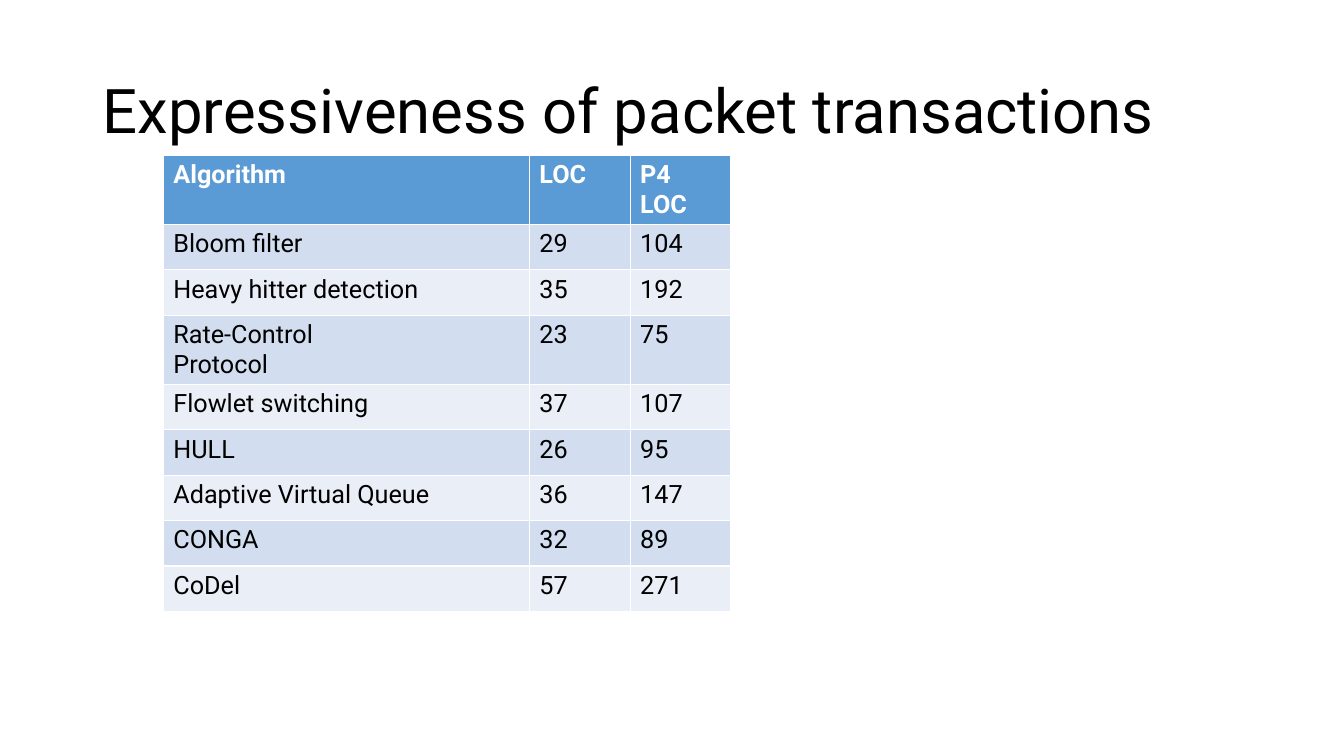
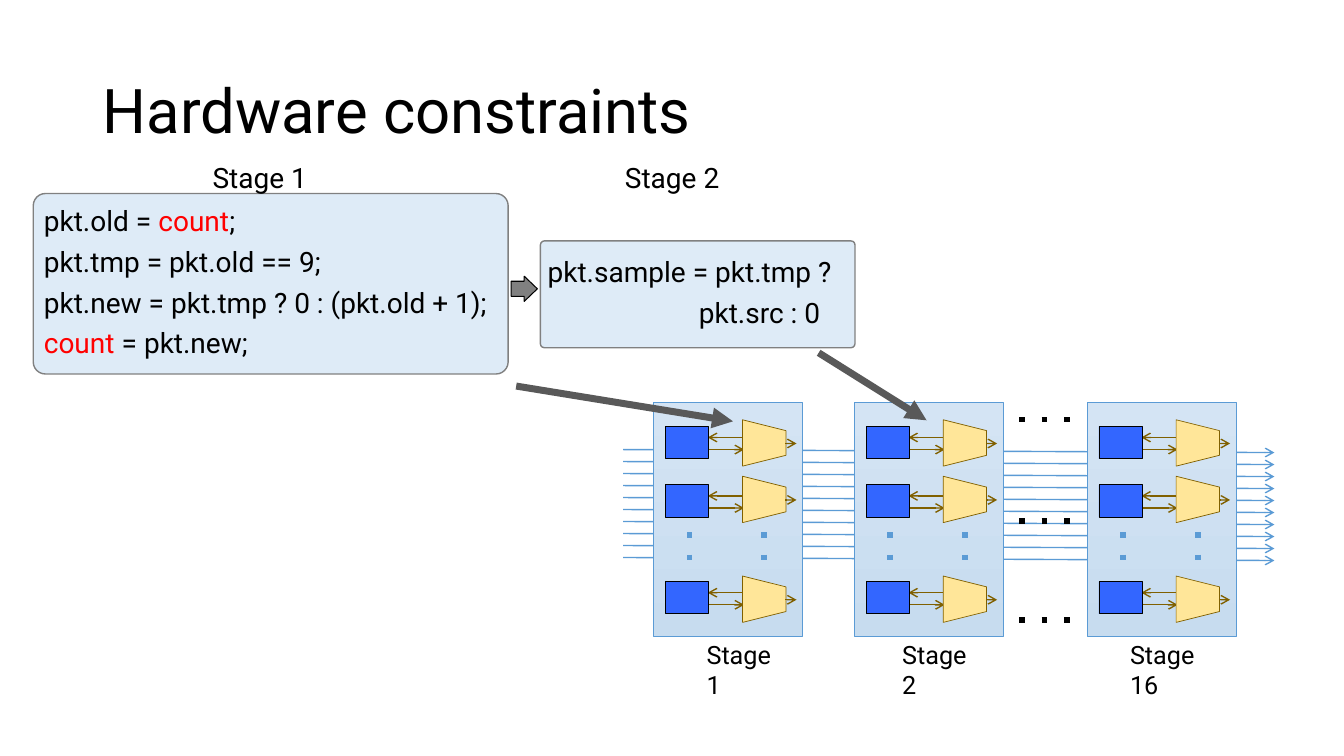
from lxml import etree
from pptx import Presentation
from pptx.dml.color import RGBColor
from pptx.enum.shapes import MSO_CONNECTOR, MSO_SHAPE
from pptx.enum.text import MSO_ANCHOR, MSO_AUTO_SIZE, PP_ALIGN
from pptx.oxml.ns import qn
from pptx.util import Inches, Pt

STRAIGHT = MSO_CONNECTOR.STRAIGHT
RECT, ROUNDED = MSO_SHAPE.RECTANGLE, MSO_SHAPE.ROUNDED_RECTANGLE
TRAPEZOID, RIGHT_ARROW = MSO_SHAPE.TRAPEZOID, MSO_SHAPE.RIGHT_ARROW
MIDDLE, LEFT, NO_FIT = MSO_ANCHOR.MIDDLE, PP_ALIGN.LEFT, MSO_AUTO_SIZE.NONE

FONT = "Roboto"
BLACK, WHITE, RED = "000000", "FFFFFF", "FF0000"
BLUE, BROWN, GRAY, DARK_GRAY = "5B9BD5", "806000", "808080", "595959"
MEMORY, ALU, CODE = "3366FF", "FFE699", "DEEBF7"
BANDS = ["EAEFF7", "D2DEEF"]
rgb = RGBColor.from_string


def format_runs(p, size, color=BLACK, bold=False):
    for r in p.runs:
        r.font.name, r.font.size, r.font.bold = FONT, Pt(size), bold
        r.font.color.rgb = rgb(color)


def add_line(s, x1, y1, x2, y2, color, width, dash=None, tail=None):
    c = s.shapes.add_connector(STRAIGHT, Inches(x1), Inches(y1), Inches(x2), Inches(y2))
    c.line.color.rgb = rgb(color)
    c.line.width = Pt(width)
    ln = c.line._get_or_add_ln()
    if dash:
        etree.SubElement(ln, qn("a:prstDash")).set("val", dash)
    if tail:
        etree.SubElement(ln, qn("a:tailEnd")).set("type", tail)
    etree.SubElement(c._element.spPr, qn("a:effectLst"))


prs = Presentation()
prs.slide_width, prs.slide_height = Inches(13.33), Inches(7.5)

# Slides with their titles
for title in ["Expressiveness of packet transactions", "Hardware constraints"]:
    s = prs.slides.add_slide(prs.slide_layouts[5])
    sp = s.shapes.title
    sp.left, sp.top, sp.width, sp.height = Inches(0.92), Inches(0.4), Inches(11.5), Inches(1.45)
    tf = sp.text_frame
    tf.text = title
    tf.auto_size, tf.vertical_anchor = NO_FIT, MIDDLE
    p = tf.paragraphs[0]
    p.alignment, p.line_spacing = LEFT, 0.9
    format_runs(p, 44)

# Slide 1: lines of code per algorithm
rows = [
    ("Algorithm", "LOC", "P4\nLOC"),
    ("Bloom filter", "29", "104"),
    ("Heavy hitter detection", "35", "192"),
    ("Rate-Control\nProtocol", "23", "75"),
    ("Flowlet switching", "37", "107"),
    ("HULL", "26", "95"),
    ("Adaptive Virtual Queue", "36", "147"),
    ("CONGA", "32", "89"),
    ("CoDel", "57", "271"),
]
s = prs.slides[0]
table = s.shapes.add_table(len(rows), 3, Inches(1.62), Inches(1.54), Inches(5.63), Inches(4.24)).table
for column, width in zip(table.columns, [3.63, 1, 1]):
    column.width = Inches(width)
for i, row in enumerate(rows):
    header = i == 0
    table.rows[i].height = Inches(0.64 if header else 0.45)
    for j, text in enumerate(row):
        cell = table.cell(i, j)
        cell.text = text
        cell.fill.solid()
        cell.fill.fore_color.rgb = rgb(BLUE if header else BANDS[i % 2])
        for p in cell.text_frame.paragraphs:
            format_runs(p, 18, WHITE if header else BLACK, header)

# Slide 2: wires through the pipeline
s = prs.slides[1]
for i in range(10):
    y = 4.46 + 0.119 * i
    add_line(s, 6.18, y, 12.64, y + 0.03, BLUE, 1, tail="arrow")

# Dots between stages 2 and 16
for y in [4.16, 5.17, 6.15]:
    add_line(s, 10.11, y, 10.69, y, BLACK, 4, dash="dot")

# Stages: left edge, label, left edge of label
for x, label, label_x in [(6.48, "Stage 1", 6.91), (8.47, "Stage 2", 8.85), (10.78, "Stage 16", 11.11)]:
    sp = s.shapes.add_shape(RECT, Inches(x), Inches(3.99), Inches(1.48), Inches(2.32))
    sp.shadow.inherit = False
    sp.fill.gradient()
    sp.fill.gradient_angle = 270
    for stop, color in zip(sp.fill.gradient_stops, ["D4E4F4", "C7DCEF"]):
        stop.color.rgb = rgb(color)
    sp.line.color.rgb = rgb(BLUE)
    sp.line.width = Pt(0.5)

    tb = s.shapes.add_textbox(Inches(label_x), Inches(6.29), Inches(0.9), Inches(0.7))
    tb.text_frame.word_wrap = True
    tb.text_frame.text = label
    format_runs(tb.text_frame.paragraphs[0], 18)

    # Each row pairs a memory with an ALU
    for mem_y, alu_y in [(4.23, 4.18), (4.81, 4.74), (5.77, 5.73)]:
        add_line(s, x + 0.36, mem_y + 0.23, x + 0.9, mem_y + 0.23, BROWN, 1, tail="arrow")
        add_line(s, x + 0.94, mem_y + 0.11, x + 0.54, mem_y + 0.11, BROWN, 1, tail="arrow")
        for kind, dx, y, w, h, fill, edge, turn in [
            (RECT, 0.12, mem_y, 0.43, 0.32, MEMORY, BLACK, 0),
            (TRAPEZOID, 0.87, alu_y, 0.46, 0.43, ALU, BROWN, 90),
        ]:
            sp = s.shapes.add_shape(kind, Inches(x + dx), Inches(y), Inches(w), Inches(h))
            sp.shadow.inherit = False
            sp.rotation = turn
            sp.fill.solid()
            sp.fill.fore_color.rgb = rgb(fill)
            sp.line.color.rgb = rgb(edge)
            sp.line.width = Pt(0.5)
        add_line(s, x + 1.31, alu_y + 0.22, x + 1.42, alu_y + 0.22, BROWN, 1, tail="arrow")
    for dx in [0.36, 1.1]:
        add_line(s, x + dx, 5.28, x + dx, 5.66, BLUE, 4, dash="dot")

# Arrows from the code to its stage
add_line(s, 8.12, 3.5, 9.19, 4.17, DARK_GRAY, 5, tail="triangle")
add_line(s, 5.12, 3.83, 7.27, 4.18, DARK_GRAY, 5, tail="triangle")

# Code boxes: place, corner radius, inset, lines as (text, colour) runs with an indent
boxes = [
    (0.33, 1.92, 4.71, 1.79, 0.12, 0.07, [
        ([("pkt.old = ", BLACK), ("count", RED), (";", BLACK)], 0),
        ([("pkt.tmp = pkt.old == 9;", BLACK)], 0),
        ([("pkt.new = pkt.tmp ? 0 : (pkt.old + 1);", BLACK)], 0),
        ([("count ", RED), ("= pkt.new;", BLACK)], 0),
    ]),
    (5.36, 2.39, 3.12, 1.06, 0.04, 0.06, [
        ([("pkt.sample = pkt.tmp ?", BLACK)], 0),
        ([("pkt.src : 0", BLACK)], 1.5),
    ]),
]
for x, y, w, h, radius, inset, lines in boxes:
    sp = s.shapes.add_shape(ROUNDED, Inches(x), Inches(y), Inches(w), Inches(h))
    sp.adjustments[0] = radius / h
    sp.shadow.inherit = False
    sp.fill.solid()
    sp.fill.fore_color.rgb = rgb(CODE)
    sp.line.color.rgb = rgb(GRAY)
    sp.line.width = Pt(1)
    tf = sp.text_frame
    tf.word_wrap, tf.vertical_anchor = True, MIDDLE
    tf.margin_left = tf.margin_right = tf.margin_top = tf.margin_bottom = Inches(inset)
    for i, (runs, indent) in enumerate(lines):
        p = tf.add_paragraph() if i else tf.paragraphs[0]
        p.alignment, p.line_spacing, p.space_after = LEFT, 0.9, Pt(7.5)
        if indent:
            p._p.get_or_add_pPr().set("marL", str(Inches(indent)))
        for text, _ in runs:
            p.add_run().text = text
        format_runs(p, 20)
        for r, (_, color) in zip(p.runs, runs):
            r.font.color.rgb = rgb(color)

# Block arrow between the code boxes
sp = s.shapes.add_shape(RIGHT_ARROW, Inches(5.07), Inches(2.74), Inches(0.26), Inches(0.25))
sp.adjustments[0], sp.adjustments[1] = 0.6, 0.52
sp.shadow.inherit = False
sp.fill.solid()
sp.fill.fore_color.rgb = rgb(GRAY)
sp.line.color.rgb = rgb(BLACK)
sp.line.width = Pt(0.75)

# Headings above the code boxes
for x, heading in [(2.01, "Stage 1"), (6.1, "Stage 2")]:
    tb = s.shapes.add_textbox(Inches(x), Inches(1.54), Inches(1.16), Inches(0.44))
    tb.text_frame.word_wrap = True
    tb.text_frame.text = heading
    format_runs(tb.text_frame.paragraphs[0], 20)

prs.save("out.pptx")
